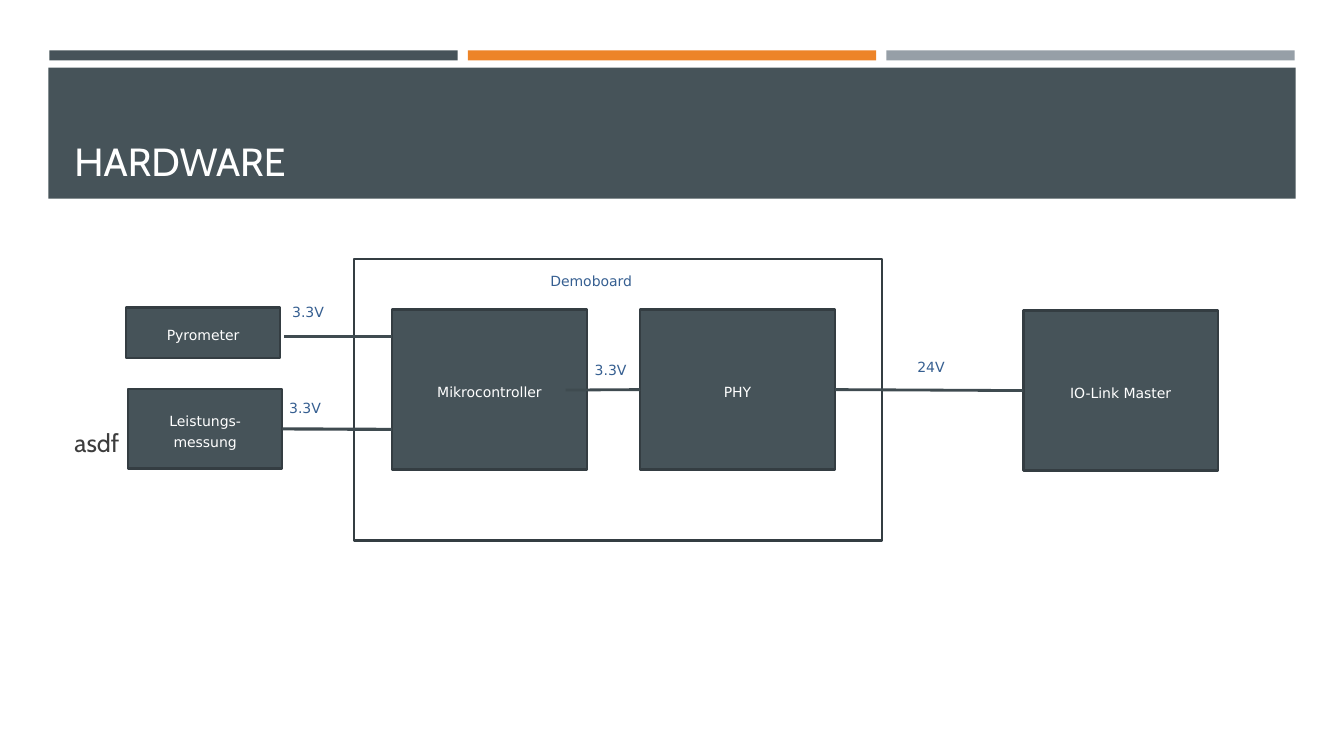
from lxml import etree
from pptx import Presentation
from pptx.dml.color import RGBColor
from pptx.enum.shapes import MSO_CONNECTOR, MSO_SHAPE
from pptx.enum.text import MSO_ANCHOR as ANCHOR, PP_ALIGN as ALIGN
from pptx.oxml.ns import qn
from pptx.util import Inches, Pt

SLATE = RGBColor(0x46, 0x53, 0x59)
ORANGE = RGBColor(0xED, 0x84, 0x28)
GREY = RGBColor(0x96, 0x9F, 0xA7)
EDGE = RGBColor(0x34, 0x3D, 0x42)
WIRE = RGBColor(0x3F, 0x4B, 0x50)
BLUE = RGBColor(0x36, 0x5F, 0x91)
DARK = RGBColor(0x3D, 0x3D, 0x3D)
WHITE = RGBColor(0xFF, 0xFF, 0xFF)

TITLE = {"name": "Cabin", "size": Pt(28)}
BODY = {"name": "Cabin", "size": Pt(18)}
LABEL = {"name": "DejaVu Sans", "size": Pt(10)}
SPACED = {"line_spacing": 1.3, "space_after": Pt(10)}

prs = Presentation()
prs.slide_width, prs.slide_height = Inches(13.33), Inches(7.5)
s = prs.slides.add_slide(prs.slide_layouts[6])


def add_rect(x, y, w, h, fill=None, line=None):
    sp = s.shapes.add_shape(MSO_SHAPE.RECTANGLE, Inches(x), Inches(y), Inches(w), Inches(h))
    sp.shadow.inherit = False
    if fill is None:
        sp.fill.background()
    else:
        sp.fill.solid()
        sp.fill.fore_color.rgb = fill
    if line is None:
        sp.line.fill.background()
    else:
        sp.line.color.rgb = line
        sp.line.width = Pt(1.75)
    return sp


def set_text(sp, text, font, color, anchor, para):
    tf = sp.text_frame
    tf.word_wrap = True
    tf.vertical_anchor = anchor
    p = tf.paragraphs[0]
    for key, value in para.items():
        setattr(p, key, value)
    r = p.add_run()
    r.text = text
    for key, value in font.items():
        setattr(r.font, key, value)
    r.font.color.rgb = color


for i, color in enumerate([SLATE, ORANGE, GREY]):
    add_rect(0.49 + 4.15 * i, 0.5, 4.05, 0.1, color)
add_rect(0.48, 0.67, 12.37, 1.3, SLATE)

for text, y, h, font, color, anchor in [
    ("HARDWARE", 0.77, 1.11, TITLE, WHITE, ANCHOR.BOTTOM),
    ("asdf", 2.38, 4.02, BODY, DARK, ANCHOR.MIDDLE),
]:
    sp = s.shapes.add_textbox(Inches(0.64), Inches(y), Inches(12.06), Inches(h))
    set_text(sp, text, font, color, anchor, {})

add_rect(3.51, 2.57, 5.24, 2.79, line=EDGE)

blocks = {}
for text, x, y, w, h in [
    ("Pyrometer", 1.25, 3.05, 1.53, 0.5),
    ("Leistungs-messung", 1.27, 3.86, 1.53, 0.79),
    ("Mikrocontroller", 3.89, 3.07, 1.93, 1.59),
    ("PHY", 6.35, 3.07, 1.93, 1.59),
    ("IO-Link Master", 10.15, 3.08, 1.93, 1.59),
]:
    blocks[text] = add_rect(x, y, w, h, SLATE, EDGE)
    set_text(blocks[text], text, LABEL, WHITE, ANCHOR.MIDDLE,
             {**SPACED, "alignment": ALIGN.CENTER})

for x1, y1, x2, y2, width, source, target in [
    (5.61, 3.87, 6.35, 3.87, 2, None, "PHY"),
    (8.28, 3.87, 10.15, 3.88, 2, "PHY", "IO-Link Master"),
    (2.82, 3.34, 3.89, 3.34, 2.25, None, None),
    (2.8, 4.26, 3.89, 4.26, 2.25, "Leistungs-messung", None),
]:
    c = s.shapes.add_connector(MSO_CONNECTOR.STRAIGHT, Inches(x1), Inches(y1), Inches(x2), Inches(y2))
    c.line.color.rgb = WIRE
    c.line.width = Pt(width)
    etree.SubElement(c._element.spPr, qn("a:effectLst"))
    if source:
        c.begin_connect(blocks[source], 3)
    if target:
        c.end_connect(blocks[target], 1)

for text, x, y, w, h in [
    ("Demoboard", 5.36, 2.6, 2.05, 0.46),
    ("3.3V", 5.8, 3.49, 0.88, 0.59),
    ("24V", 9, 3.46, 0.88, 0.59),
    ("3.3V", 2.8, 2.91, 0.84, 0.38),
    ("3.3V", 2.77, 3.86, 0.84, 0.38),
]:
    sp = s.shapes.add_textbox(Inches(x), Inches(y), Inches(w), Inches(h))
    set_text(sp, text, LABEL, BLUE, ANCHOR.TOP, SPACED)

prs.save("out.pptx")
